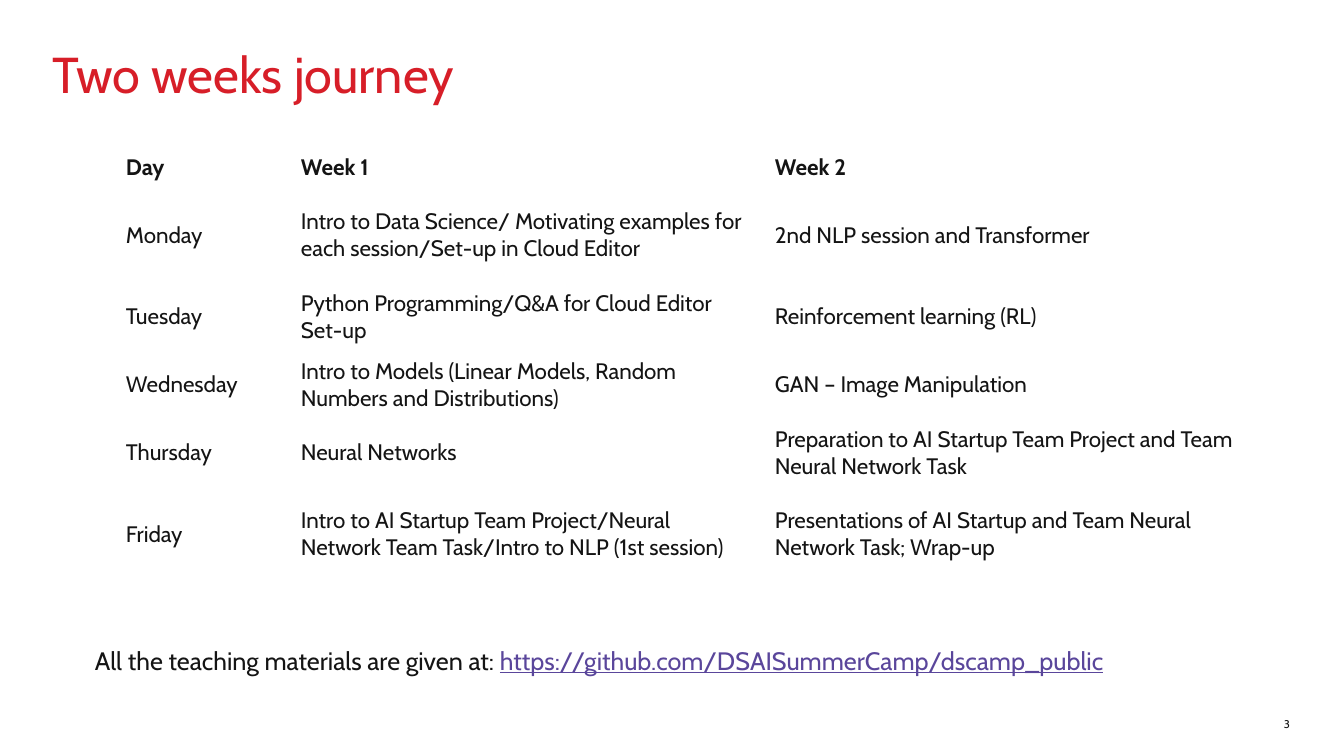
import pptx
import pptx.dml.color
import pptx.enum.text
import pptx.util

EMU_PER_PX = 914400 / 100.8
FONT = "Cabin"
INK = "141414"
RED = "D71E28"
PURPLE = "5A469B"
WHITE = "FFFFFF"

COLUMN_WIDTHS = [175, 474, 492]
ROW_HEIGHTS = [40, 95, 68, 68, 68, 95]
SCHEDULE = [
    ("Day", "Week 1", "Week 2"),
    ("Monday",
     "Intro to Data Science/ Motivating examples for each session/Set-up in Cloud Editor",
     "2nd NLP session and Transformer"),
    ("Tuesday",
     "Python Programming/Q&A for Cloud Editor Set-up",
     "Reinforcement learning (RL)"),
    ("Wednesday",
     "Intro to Models (Linear Models, Random Numbers and Distributions)",
     "GAN – Image Manipulation"),
    ("Thursday",
     "Neural Networks",
     "Preparation to AI Startup Team Project and Team Neural Network Task"),
    ("Friday",
     "Intro to AI Startup Team Project/Neural Network Team Task/Intro to NLP (1st session)",
     "Presentations of AI Startup and Team Neural Network Task; Wrap-up"),
]


def px(length):
    return pptx.util.Emu(round(length * EMU_PER_PX))


def color(value):
    return pptx.dml.color.RGBColor.from_string(value)


def add_run(paragraph, text, size, ink=INK, bold=False, underline=False):
    run = paragraph.add_run()
    run.text = text
    run.font.name = FONT
    run.font.size = pptx.util.Pt(size)
    run.font.bold = bold
    run.font.underline = underline
    run.font.color.rgb = color(ink)


def set_margins(area, horizontal, vertical):
    area.margin_left = area.margin_right = px(horizontal)
    area.margin_top = area.margin_bottom = px(vertical)


def add_text(slide, left, top, width, height, margins=(0, 0), wrap=True):
    frame = slide.shapes.add_textbox(px(left), px(top), px(width), px(height)).text_frame
    frame.word_wrap = wrap
    set_margins(frame, *margins)
    return frame


def add_schedule(slide, left, top):
    schedule = slide.shapes.add_table(
        len(ROW_HEIGHTS), len(COLUMN_WIDTHS), px(left), px(top),
        px(sum(COLUMN_WIDTHS)), px(sum(ROW_HEIGHTS))).table
    schedule.horz_banding = False
    for column, width in zip(schedule.columns, COLUMN_WIDTHS):
        column.width = px(width)
    for row_index, (row, height, texts) in enumerate(
            zip(schedule.rows, ROW_HEIGHTS, SCHEDULE)):
        row.height = px(height)
        for cell, text in zip(row.cells, texts):
            cell.fill.solid()
            cell.fill.fore_color.rgb = color(WHITE)
            cell.vertical_anchor = pptx.enum.text.MSO_ANCHOR.MIDDLE
            set_margins(cell, 14, 6)
            add_run(cell.text_frame.paragraphs[0], text, 16, bold=row_index == 0)


def main():
    deck = pptx.Presentation()
    deck.slide_width, deck.slide_height = px(1344), px(756)
    slide = deck.slides.add_slide(deck.slide_layouts[6])

    heading = add_text(slide, 53, 50, 806, 630).paragraphs[0]
    heading.line_spacing = 0.9
    add_run(heading, "Two weeks journey", 36, RED)

    page_number = add_text(slide, 1237, 706, 53, 25)
    page_number.vertical_anchor = pptx.enum.text.MSO_ANCHOR.BOTTOM
    page_number.paragraphs[0].alignment = pptx.enum.text.PP_ALIGN.RIGHT
    add_run(page_number.paragraphs[0], "3", 8)

    add_schedule(slide, 112, 148)

    materials = add_text(slide, 85, 640, 1066, 40, margins=(10, 5), wrap=False)
    materials.auto_size = pptx.enum.text.MSO_AUTO_SIZE.SHAPE_TO_FIT_TEXT
    add_run(materials.paragraphs[0], "All the teaching materials are given at: ", 18)
    add_run(materials.paragraphs[0], "https://github.com/DSAISummerCamp/dscamp_public",
            18, PURPLE, underline=True)
    add_run(materials.paragraphs[0], " ", 18)

    deck.save("out.pptx")


if __name__ == "__main__":
    main()
